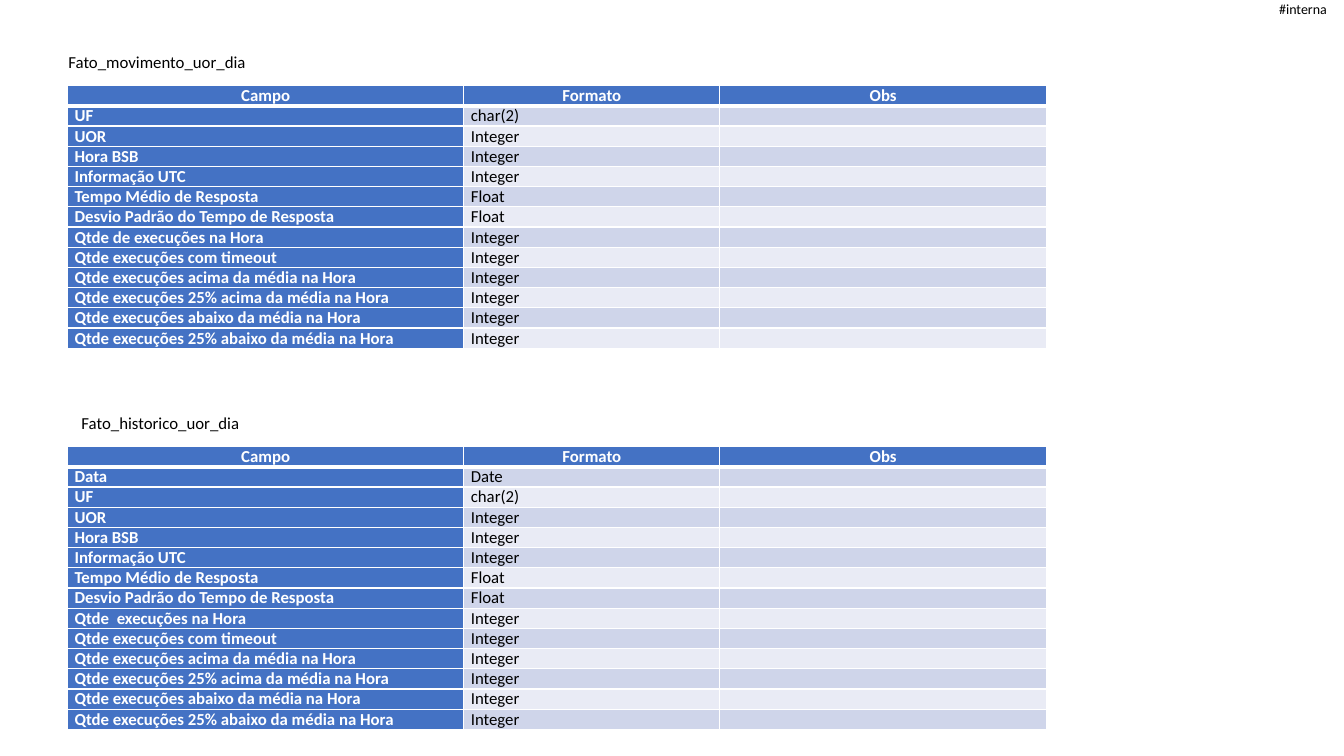
from pptx import Presentation
from pptx.dml.color import RGBColor
from pptx.enum import text
from pptx.oxml import ns
from pptx.util import Inches, Pt
from lxml import etree

WHITE = RGBColor(0xFF, 0xFF, 0xFF)
BLACK = RGBColor(0, 0, 0)
BLUE = RGBColor(0x44, 0x72, 0xC4)
BANDS = [RGBColor(0xCF, 0xD5, 0xEA), RGBColor(0xE9, 0xEB, 0xF5)]
FONT = "Calibri"

HEADER = ("Campo", "Formato", "Obs")
KEYS = [
    ("UF", "char(2)"),
    ("UOR", "Integer"),
    ("Hora BSB", "Integer"),
    ("Informação UTC", "Integer"),
    ("Tempo Médio de Resposta", "Float"),
    ("Desvio Padrão do Tempo de Resposta", "Float"),
]
COUNTS = [
    ("Qtde execuções com timeout", "Integer"),
    ("Qtde execuções acima da média na Hora", "Integer"),
    ("Qtde execuções 25% acima da média na Hora", "Integer"),
    ("Qtde execuções abaixo da média na Hora", "Integer"),
    ("Qtde execuções 25% abaixo da média na Hora", "Integer"),
]
MOVEMENT = KEYS + [("Qtde de execuções na Hora", "Integer")] + COUNTS
HISTORY = [("Data", "Date")] + KEYS + [("Qtde  execuções na Hora", "Integer")] + COUNTS

# name, name box (left, top, width, height), table top, fields
FACTS = [
    ("Fato_movimento_uor_dia", (0.58, 0.46, 1.98, 0.3), 0.85, MOVEMENT),
    ("Fato_historico_uor_dia", (0.71, 4.04, 1.78, 0.3), 4.43, HISTORY),
]
TABLE_LEFT = 0.67
COL_WIDTHS = (3.93, 2.54, 3.24)
ROW_HEIGHT = 0.2


def style(p, size, color, bold=False):
    """Set the font of a whole paragraph."""
    p.font.name, p.font.size, p.font.bold = FONT, Pt(size), bold
    p.font.color.rgb = color


def add_label(slide, words, box, size):
    """Add a one-line black text box."""
    tf = slide.shapes.add_textbox(*map(Inches, box)).text_frame
    tf.word_wrap = False
    tf.vertical_anchor = text.MSO_ANCHOR.MIDDLE
    p = tf.paragraphs[0]
    p.text = words
    style(p, size, BLACK)
    return tf


def set_borders(cell, top, bottom):
    """Draw white cell borders, one point wide at the sides."""
    tcPr = cell._tc.get_or_add_tcPr()
    sides = (("L", 1), ("R", 1), ("T", top), ("B", bottom))
    for i, (side, width) in enumerate(sides):
        ln = etree.Element(ns.qn("a:ln" + side), w=str(Pt(width)))
        fill = etree.SubElement(ln, ns.qn("a:solidFill"))
        etree.SubElement(fill, ns.qn("a:srgbClr"), val=str(WHITE))
        tcPr.insert(i, ln)


def fill_cell(cell, words, row, col):
    """Write and format one cell by its place in the table."""
    strong = row == 0 or col == 0
    cell.margin_left = cell.margin_right = Inches(0.07)
    cell.margin_top = cell.margin_bottom = 0
    cell.fill.solid()
    cell.fill.fore_color.rgb = BLUE if strong else BANDS[(row - 1) % 2]
    set_borders(cell, 3 if row == 1 else 1, 3 if row == 0 else 1)
    p = cell.text_frame.paragraphs[0]
    style(p, 12, WHITE if strong else BLACK, strong)
    if row == 0:
        p.alignment = text.PP_ALIGN.CENTER
    if words:
        p.text = words
    else:
        etree.SubElement(p._p, ns.qn("a:endParaRPr"), sz="1200")


def add_field_table(slide, top, fields):
    """Add the table that lists the fields of one fact table."""
    rows = [HEADER] + [(name, kind, "") for name, kind in fields]
    table = slide.shapes.add_table(
        len(rows), len(HEADER), Inches(TABLE_LEFT), Inches(top),
        Inches(sum(COL_WIDTHS)), Inches(ROW_HEIGHT * len(rows))).table
    table.first_col = True
    for column, width in zip(table.columns, COL_WIDTHS):
        column.width = Inches(width)
    for r, row in enumerate(rows):
        table.rows[r].height = Inches(ROW_HEIGHT)
        for c, words in enumerate(row):
            fill_cell(table.cell(r, c), words, r, c)


prs = Presentation()
prs.slide_width, prs.slide_height = Inches(13.33), Inches(7.5)
slide = prs.slides.add_slide(prs.slide_layouts[6])

tag = add_label(slide, "#interna", (12.65, 0, 0.51, 0.17), 10)
tag.margin_left = tag.margin_right = tag.margin_top = tag.margin_bottom = 0
tag.paragraphs[0].alignment = text.PP_ALIGN.RIGHT

for name, box, top, fields in FACTS:
    add_field_table(slide, top, fields)
    add_label(slide, name, box, 12)

prs.save("out.pptx")
